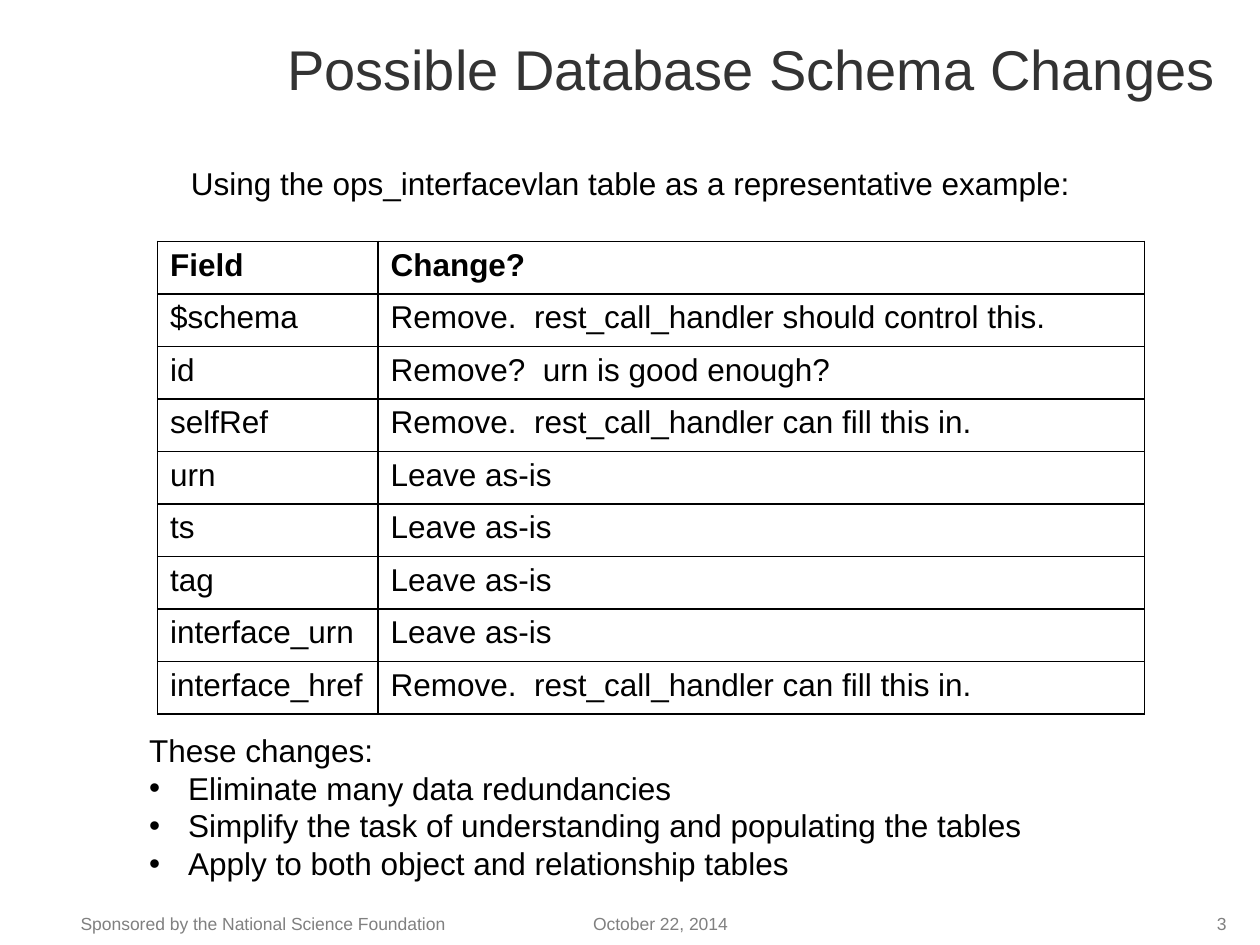
from dataclasses import dataclass
from typing import Any

from lxml.etree import SubElement
from pptx import Presentation
from pptx.dml.color import RGBColor
from pptx.enum.text import MSO_ANCHOR, MSO_AUTO_SIZE, PP_ALIGN
from pptx.oxml.ns import qn
from pptx.util import Inches, Pt

COLORS = {"ink": "000000", "title": "333333", "footer": "808080"}
COLUMNS, ROWS = 120, 90  # layout grid of the slide


@dataclass(frozen=True)
class Area:
    column: float
    row: float
    columns: float
    rows: float


@dataclass(frozen=True)
class Style:
    size: int
    color: str
    bold: bool = False


@dataclass(frozen=True)
class Caption:
    text: str
    area: Area
    style: Style
    align: PP_ALIGN = PP_ALIGN.LEFT
    wrap: bool = True


BODY = Style(18, "ink")
HEADER = Style(18, "ink", bold=True)
TITLE = Style(32, "title")
FOOTER = Style(10, "footer")

CAPTIONS = [
    Caption("Sponsored by the National Science Foundation",
            Area(6.5, 86.4, 43.4, 3.2), FOOTER),
    Caption("October 22, 2014", Area(49.4, 86.4, 27, 3.2), FOOTER, PP_ALIGN.CENTER),
    Caption("3", Area(111, 86.4, 7, 3.2), FOOTER, PP_ALIGN.RIGHT),
    Caption("Using the ops_interfacevlan table as a representative example:",
            Area(17, 15, 87, 4.8), BODY, wrap=False),
]

KEEP = "Leave as-is"
FILL_IN = "Remove.  rest_call_handler can fill this in."
FIELD_CHANGES = [
    ("Field", "Change?"),
    ("$schema", "Remove.  rest_call_handler should control this."),
    ("id", "Remove?  urn is good enough?"),
    ("selfRef", FILL_IN),
    ("urn", KEEP),
    ("ts", KEEP),
    ("tag", KEEP),
    ("interface_urn", KEEP),
    ("interface_href", FILL_IN),
]
FIELD_COLUMNS = (21, 73)
FIELD_ROW = 5

BENEFITS = [
    "Eliminate many data redundancies",
    "Simplify the task of understanding and populating the tables",
    "Apply to both object and relationship tables",
]

deck = Presentation()
deck.slide_width, deck.slide_height = Inches(10), Inches(7.5)
column_width = deck.slide_width / COLUMNS
row_height = deck.slide_height / ROWS
slide = deck.slides.add_slide(deck.slide_layouts[1])


def apply(target: Any, values: dict[str, Any]) -> None:
    for attribute, value in values.items():
        setattr(target, attribute, value)


def bounds(area: Area) -> dict[str, int]:
    return {
        "left": round(area.column * column_width),
        "top": round(area.row * row_height),
        "width": round(area.columns * column_width),
        "height": round(area.rows * row_height),
    }


def write(paragraph: Any, text: str, style: Style,
          align: PP_ALIGN = PP_ALIGN.LEFT) -> None:
    run = paragraph.add_run()
    run.text = text
    apply(paragraph, {"alignment": align, "space_before": Pt(0)})
    apply(run.font, {"name": "Arial", "size": Pt(style.size), "bold": style.bold})
    run.font.color.rgb = RGBColor.from_string(COLORS[style.color])


def set_bullet(paragraph: Any, bullet: str = "") -> None:
    properties = paragraph._p.get_or_add_pPr()
    indent = Inches(0.31) if bullet else 0
    properties.set("marL", str(indent))
    properties.set("indent", str(-indent))
    if bullet:
        SubElement(properties, qn("a:buChar"), char=bullet)
    else:
        SubElement(properties, qn("a:buNone"))


def add_caption(caption: Caption) -> None:
    box = slide.shapes.add_textbox(**bounds(caption.area))
    box.text_frame.word_wrap = caption.wrap
    write(box.text_frame.paragraphs[0], caption.text, caption.style, caption.align)


def add_borders(cell: Any) -> None:
    properties = cell._tc.get_or_add_tcPr()
    for position, side in enumerate(("lnL", "lnR", "lnT", "lnB")):
        line = SubElement(properties, qn(f"a:{side}"), w=str(Pt(1)))
        fill = SubElement(line, qn("a:solidFill"))
        SubElement(fill, qn("a:srgbClr"), val=COLORS["ink"])
        properties.insert(position, line)


# Title
title = slide.shapes.title
apply(title, bounds(Area(9, 0, 108, 13)))
apply(title.text_frame, {"vertical_anchor": MSO_ANCHOR.MIDDLE, "word_wrap": True,
                         "auto_size": MSO_AUTO_SIZE.NONE})
write(title.text_frame.paragraphs[0], "Possible Database Schema Changes",
      TITLE, PP_ALIGN.RIGHT)

# Introduction and footer
for caption in CAPTIONS:
    add_caption(caption)

# Field changes
table_area = Area(15, 23, sum(FIELD_COLUMNS), FIELD_ROW * len(FIELD_CHANGES))
field_table = slide.shapes.add_table(
    len(FIELD_CHANGES), len(FIELD_COLUMNS), **bounds(table_area)).table
apply(field_table, {"first_row": False, "horz_banding": False})
for column, share in zip(field_table.columns, FIELD_COLUMNS):
    column.width = round(share * column_width)
for row_index, entries in enumerate(FIELD_CHANGES):
    field_table.rows[row_index].height = round(FIELD_ROW * row_height)
    for column_index, entry in enumerate(entries):
        cell = field_table.cell(row_index, column_index)
        cell.fill.background()
        add_borders(cell)
        write(cell.text_frame.paragraphs[0], entry, BODY if row_index else HEADER)

# Benefits
benefits = slide.placeholders[1]
apply(benefits, bounds(Area(13, 69, 95, 15.75)))
apply(benefits.text_frame, {"vertical_anchor": MSO_ANCHOR.TOP, "word_wrap": True,
                            "auto_size": MSO_AUTO_SIZE.NONE})
lead = benefits.text_frame.paragraphs[0]
write(lead, "These changes:", BODY)
set_bullet(lead)
for benefit in BENEFITS:
    item = benefits.text_frame.add_paragraph()
    write(item, benefit, BODY)
    set_bullet(item, "•")

deck.save("out.pptx")
